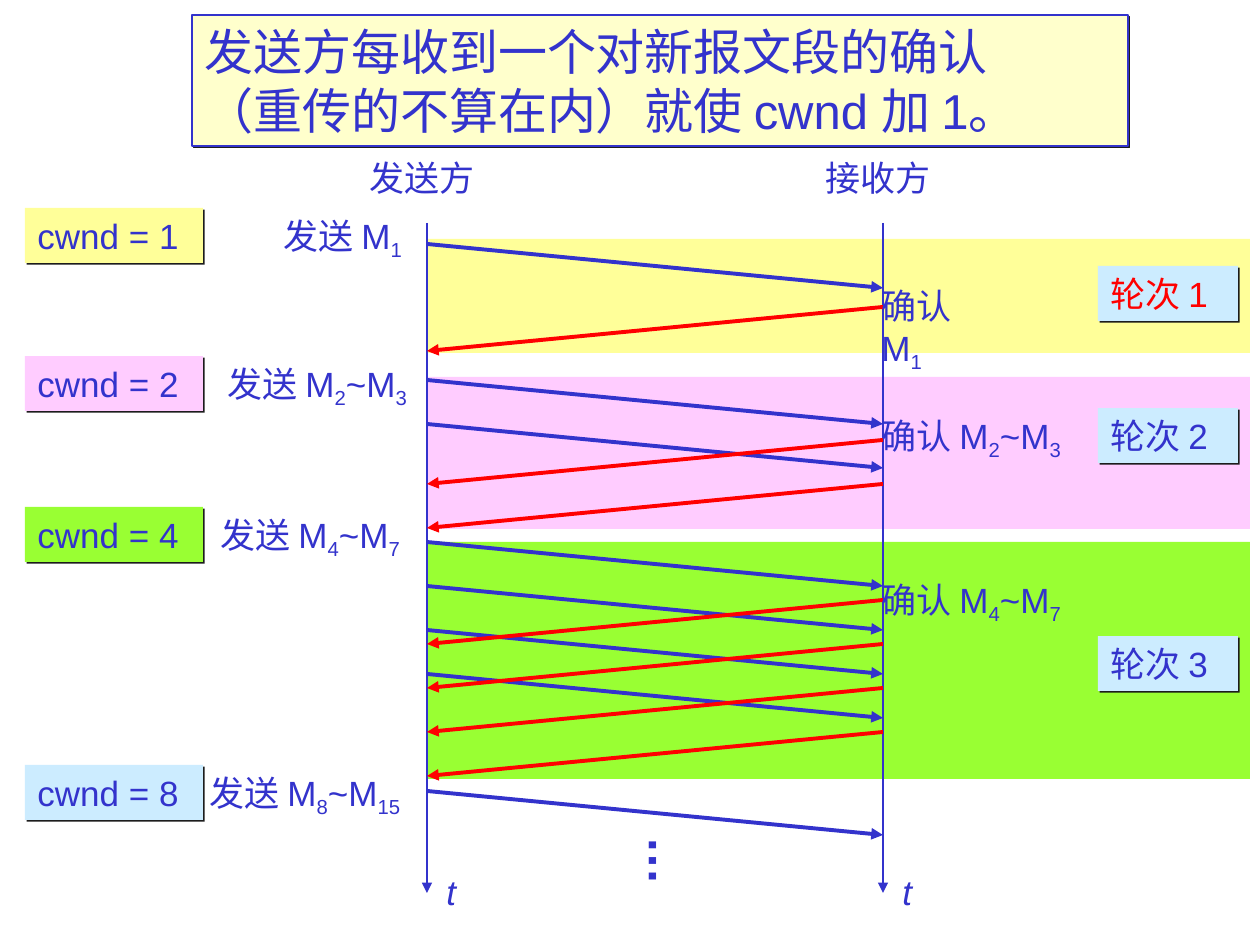
import lxml.etree
import pptx
import pptx.dml.color
import pptx.enum.shapes
import pptx.enum.text
import pptx.oxml.ns
import pptx.util

PX = 914400 / 126
INK, RED, SHADOW = "3333CC", "FF0000", "1C1C1C"
YELLOW, PINK, GREEN, SKY, CREAM = "FFFF99", "FFCCFF", "99FF33", "CCECFF", "FFFFCC"
qn = pptx.oxml.ns.qn


def emu(*lengths):
    return [pptx.util.Emu(round(length * PX)) for length in lengths]


def rgb(value):
    return pptx.dml.color.RGBColor.from_string(value)


def fill(shape, color):
    shape.fill.solid()
    shape.fill.fore_color.rgb = rgb(color)


def hard_shadow(shape):
    shape.shadow.inherit = False
    effects = shape._element.spPr.find(qn("a:effectLst"))
    outer = lxml.etree.SubElement(effects, qn("a:outerShdw"), dist="17780",
                                  dir="2700000", algn="ctr", rotWithShape="0")
    lxml.etree.SubElement(outer, qn("a:srgbClr"), val=SHADOW)


def write(shape, lines, size=20, color=INK, wrap=True, bold=None, italic=None):
    """Each line is a list of parts; every second part is a subscript."""
    frame = shape.text_frame
    frame.word_wrap = wrap
    sizes = pptx.enum.text.MSO_AUTO_SIZE
    frame.auto_size = sizes.NONE if wrap else sizes.SHAPE_TO_FIT_TEXT
    frame.margin_left = frame.margin_right = pptx.util.Inches(0.1)
    frame.margin_top = frame.margin_bottom = pptx.util.Inches(0.05)
    for number, parts in enumerate(lines):
        paragraph = frame.add_paragraph() if number else frame.paragraphs[0]
        paragraph.alignment = pptx.enum.text.PP_ALIGN.LEFT
        for index, part in enumerate(parts):
            run = paragraph.add_run()
            run.text = part
            if index % 2:
                run._r.get_or_add_rPr().set("baseline", "-25000")
        font = paragraph.font
        font.name, font.size = "Arial", pptx.util.Pt(size)
        font.bold, font.italic = bold, italic
        font.color.rgb = rgb(color)


def label(slide, box, *parts, **style):
    text = slide.shapes.add_textbox(*emu(*box))
    write(text, [parts], wrap=False, **style)
    return text


def rectangle(slide, box, color):
    shape = slide.shapes.add_shape(pptx.enum.shapes.MSO_SHAPE.RECTANGLE, *emu(*box))
    fill(shape, color)
    shape.line.fill.background()
    shape.shadow.inherit = False
    return shape


def tag(slide, box, text, color, ink=INK):
    shape = rectangle(slide, box, color)
    hard_shadow(shape)
    shape.text_frame.vertical_anchor = pptx.enum.text.MSO_ANCHOR.MIDDLE
    write(shape, [[text]], color=ink)


def arrow(slide, start, end, color=INK, width=2.25):
    line = slide.shapes.add_connector(pptx.enum.shapes.MSO_CONNECTOR.STRAIGHT,
                                      *emu(*start, *end))
    line.line.color.rgb = rgb(color)
    line.line.width = pptx.util.Pt(width)
    properties = line._element.spPr
    lxml.etree.SubElement(properties.find(qn("a:ln")), qn("a:tailEnd"), type="triangle")
    lxml.etree.SubElement(properties, qn("a:effectLst"))


def headline(slide, box):
    title = slide.shapes.title
    title.left, title.top, title.width, title.height = emu(*box)
    fill(title, CREAM)
    title.line.color.rgb = rgb(INK)
    title.line.width = pptx.util.Pt(0.75)
    hard_shadow(title)
    title.text_frame.vertical_anchor = pptx.enum.text.MSO_ANCHOR.TOP
    write(title, [["发送方每收到一个对新报文段的确认"],
                  ["（重传的不算在内）就使 cwnd 加 1。"]], size=28)


def lifelines(slide, box):
    """The sender's line on the left edge, the receiver's on the right."""
    left, top, width, height = box
    for x, party in ((left, "发送方"), (left + width, "接收方")):
        label(slide, (x - 70, top - 73, 130, 55), party)
        arrow(slide, (x, top), (x, top + height), width=0.75)
        label(slide, (x + 7, top + 641, 35, 54), "t", italic=True)
    # More rounds follow
    more = label(slide, (left + 204, top + 602, 74, 72), "…", size=28, bold=True)
    more.rotation = 90


def messages(slide, box, count, backwards=False):
    """Parallel arrows, each falling by the box height."""
    left, top, width, drop = box
    ends, color = (left, left + width), INK
    if backwards:
        ends, color = ends[::-1], RED
    for y in range(top, top + count * drop, drop):
        arrow(slide, (ends[0], y), (ends[1], y + drop), color)


def window(slide, box, cwnd, color, indent, segments):
    """The sender's window size and what it sends."""
    left, top, width, height = box
    tag(slide, (left, top, 178, height), f"cwnd = {cwnd}", color)
    label(slide, (left + indent, top, width - indent, 60), "发送 M", *segments)


def acknowledgement(slide, box, segments):
    label(slide, box, "确认 M", *segments)


def main():
    deck = pptx.Presentation()
    deck.slide_width, deck.slide_height = emu(1260, 945)
    slide = deck.slides.add_slide(deck.slide_layouts[5])
    sender, span, drop = 427, 456, 44
    receiver = sender + span

    # count, color, band top and height, first send, first acknowledgement,
    # window top, label indent, acknowledgement top, badge top, segments
    rounds = [
        (1, YELLOW, 239, 114, 244, 307, 208, 246, 278, 266, ["1"]),
        (2, PINK, 377, 152, 380, 440, 356, 190, 408, 408, ["2", "~M", "3"]),
        (4, GREEN, 542, 237, 542, 600, 507, 183, 572, 636, ["4", "~M", "7"]),
    ]

    headline(slide, (192, 15, 936, 131))
    for _, color, top, height, *_ in rounds:
        rectangle(slide, (sender, top, 823, height), color)
    lifelines(slide, (sender, 223, span, 670))

    for number, (count, color, _, _, send, ack, window_top, indent,
                 ack_top, badge_top, segments) in enumerate(rounds, 1):
        messages(slide, (sender, send, span, drop), count)
        messages(slide, (sender, ack, span, drop), count, backwards=True)
        window(slide, (25, window_top, 407, 55), count, color, indent, segments)
        acknowledgement(slide, (receiver - 14, ack_top, 75 + 57 * len(segments), 60),
                        segments)
        tag(slide, (1098, badge_top, 140, 55), f"轮次 {number}", SKY,
            RED if number == 1 else INK)

    # Start of the next round
    messages(slide, (sender, 791, span, drop), 1)
    window(slide, (25, 765, 407, 55), 8, SKY, 172, ["8", "~M", "15"])

    deck.save("out.pptx")


if __name__ == "__main__":
    main()
